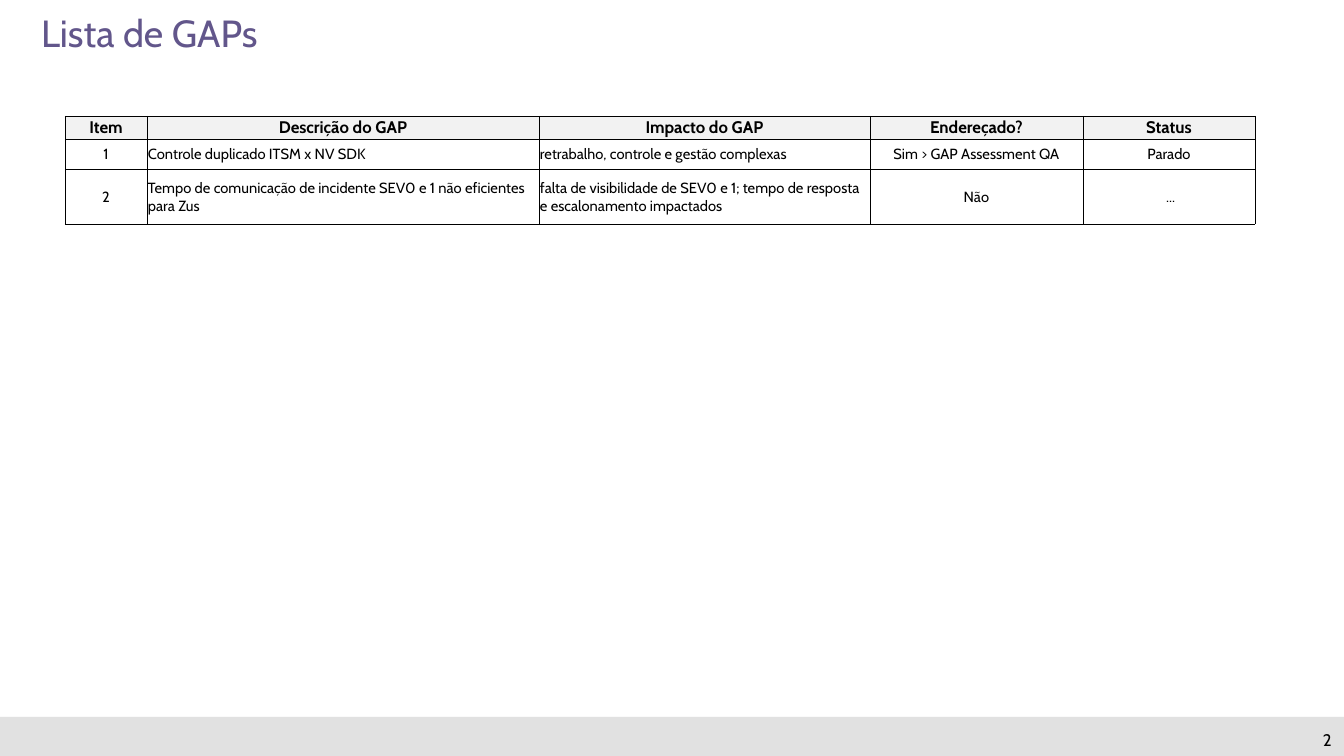
from dataclasses import dataclass

from lxml.etree import SubElement
from pptx import Presentation
from pptx.dml.color import RGBColor
from pptx.enum.shapes import MSO_SHAPE
from pptx.enum.text import MSO_ANCHOR, PP_ALIGN
from pptx.oxml import parse_xml
from pptx.oxml.ns import nsdecls, qn
from pptx.util import Pt

SCALE = 914400 / 75.6


def px(n):
    return round(n * SCALE)


@dataclass(frozen=True)
class Theme:
    font: str = "Cabin"
    ink: str = "000000"
    accent: str = "62568B"
    head: str = "F2F2F2"
    band: str = "D5D5D5"
    alpha: int = 70
    title: int = 36
    label: int = 16
    body: int = 14
    rule: float = 0.5


class Deck:
    def __init__(self, theme, wide, high):
        self.theme = theme
        self.file = Presentation()
        self.file.slide_width, self.file.slide_height = px(wide), px(high)
        self.slide = self.file.slides.add_slide(self.file.slide_layouts[5])

    def style(self, frame, size, color, align=PP_ALIGN.LEFT, bold=False):
        for para in frame.paragraphs:
            para.alignment = align
            for run in para.runs:
                font = run.font
                font.name, font.size, font.bold = self.theme.font, Pt(size), bold
                font.color.rgb = RGBColor.from_string(color)

    def title(self, text, *box):
        shape = self.slide.shapes.title
        shape.left, shape.top, shape.width, shape.height = map(px, box)
        frame = shape.text_frame
        frame.text = text
        frame.word_wrap = True
        frame.vertical_anchor = MSO_ANCHOR.TOP
        frame.margin_left = frame.margin_right = 0
        frame.margin_top = frame.margin_bottom = 0
        self.style(frame, self.theme.title, self.theme.accent)

    def band(self, *box):
        shape = self.slide.shapes.add_shape(MSO_SHAPE.RECTANGLE, *map(px, box))
        shape.shadow.inherit = False
        shape.line.fill.background()
        shape.fill.solid()
        shape.fill.fore_color.rgb = RGBColor.from_string(self.theme.band)
        color = shape.fill._xPr.find(".//" + qn("a:srgbClr"))
        SubElement(color, qn("a:alpha"), val=str(self.theme.alpha * 1000))

    def number(self, text, *box):
        frame = self.slide.shapes.add_textbox(*map(px, box)).text_frame
        frame.text = text
        frame.word_wrap = True
        self.style(frame, self.theme.label, self.theme.ink, PP_ALIGN.RIGHT)

    def border(self, cell):
        props = cell._tc.get_or_add_tcPr()
        for side in "LRTB":
            props.append(parse_xml(
                f'<a:ln{side} {nsdecls("a")} w="{Pt(self.theme.rule)}"><a:solidFill>'
                f'<a:srgbClr val="{self.theme.ink}"/></a:solidFill></a:ln{side}>'))

    def cell(self, cell, text, head, align):
        theme = self.theme
        cell.text = text
        cell.vertical_anchor = MSO_ANCHOR.MIDDLE
        cell.margin_left = cell.margin_right = cell.margin_top = px(1)
        cell.margin_bottom = 0
        self.border(cell)
        if head:
            cell.fill.solid()
            cell.fill.fore_color.rgb = RGBColor.from_string(theme.head)
        else:
            cell.fill.background()
        size = theme.label if head else theme.body
        self.style(cell.text_frame, size, theme.ink, align, head)

    def table(self, left, top, cols, rows, data, prose):
        """Draw a grid whose first row is the header; prose columns align left."""
        box = map(px, (left, top, sum(cols), sum(rows)))
        grid = self.slide.shapes.add_table(len(rows), len(cols), *box).table
        for col, wide in zip(grid.columns, cols):
            col.width = px(wide)
        for row, high in zip(grid.rows, rows):
            row.height = px(high)
        for r, line in enumerate(data):
            for c, text in enumerate(line):
                left_side = r > 0 and c in prose
                align = PP_ALIGN.LEFT if left_side else PP_ALIGN.CENTER
                self.cell(grid.cell(r, c), text, r == 0, align)


GAPS = [
    ("Item", "Descrição do GAP", "Impacto do GAP", "Endereçado?", "Status"),
    ("1", "Controle duplicado ITSM x NV SDK",
     "retrabalho, controle e gestão complexas",
     "Sim > GAP Assessment QA", "Parado"),
    ("2", "Tempo de comunicação de incidente SEV0 e 1 não eficientes para Zus",
     "falta de visibilidade de SEV0 e 1; tempo de resposta e escalonamento impactados",
     "Não", " ..."),
]


def main():
    deck = Deck(Theme(), 1344, 756)
    deck.band(0, 717, 1344, 39)
    deck.number("2", 1241, 726, 98, 28)
    deck.title("Lista de GAPs", 41, 10, 1259, 46)
    deck.table(65, 116, (82, 392, 331, 213, 172), (23, 30, 55), GAPS, (1, 2))
    deck.file.save("out.pptx")


if __name__ == "__main__":
    main()
